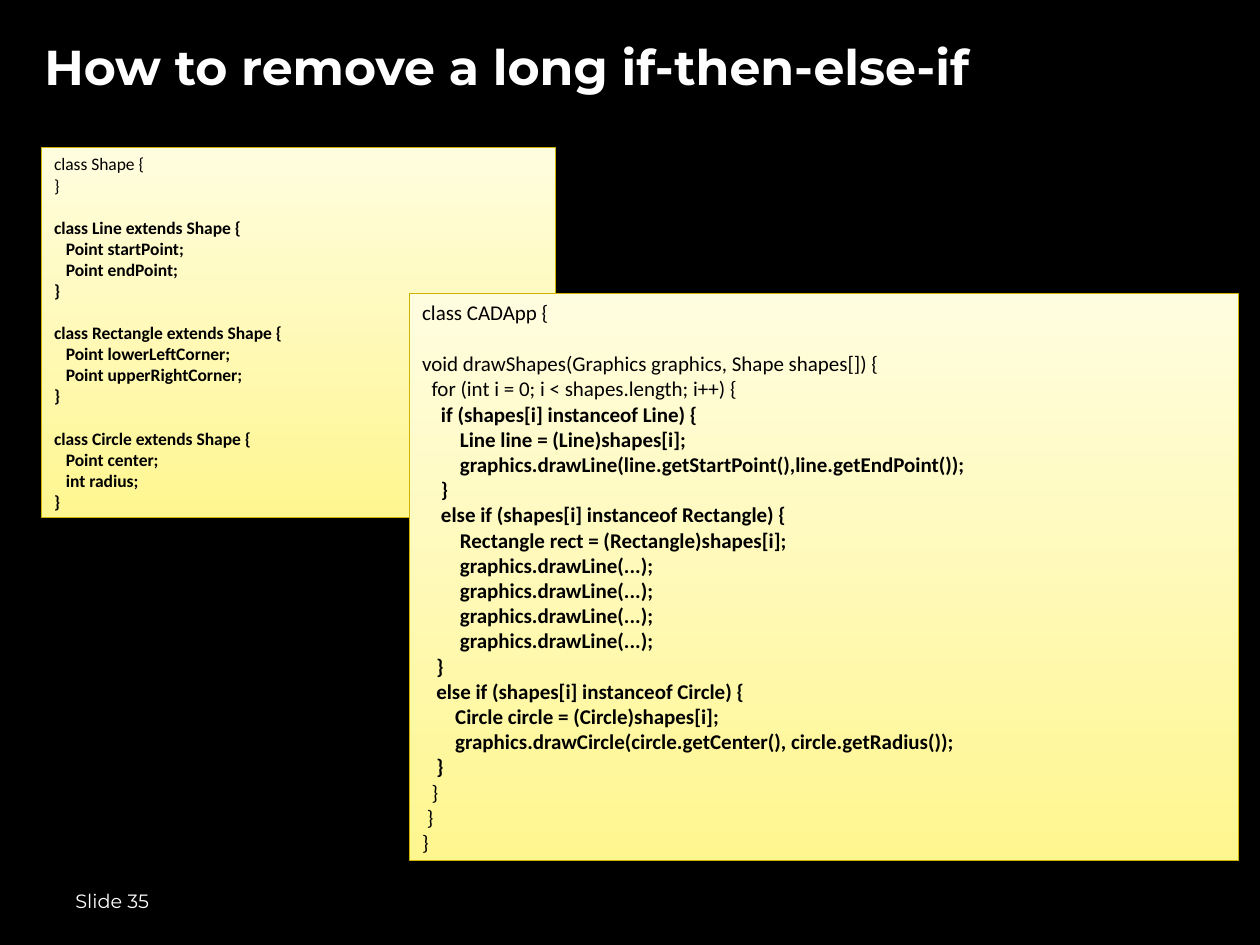
from dataclasses import dataclass

from pptx import Presentation, util as u
from pptx.dml.color import RGBColor as Rgb
from pptx.enum import shapes as shp, text as txt


@dataclass(frozen=True)
class Theme:
    back: Rgb = Rgb(0, 0, 0)
    light: Rgb = Rgb(255, 255, 255)
    ink: Rgb = Rgb(0, 0, 0)
    deep: Rgb = Rgb(0xFF, 0xF6, 0x90)
    pale: Rgb = Rgb(0xFF, 0xFD, 0xE0)
    edge: Rgb = Rgb(0xCC, 0xB4, 0x00)
    head: str = "Montserrat"
    code: str = "Calibri"
    title: int = 28
    foot: int = 11
    lead: float = 1.22  # height of a code line per point of type


@dataclass(frozen=True)
class Box:
    left: float
    top: float
    width: float
    height: float

    def cm(self) -> list:
        return [u.Cm(v) for v in (self.left, self.top, self.width, self.height)]


@dataclass(frozen=True)
class Block:
    code: str
    bold: bool = False


@dataclass(frozen=True)
class Card:
    box: Box
    size: int
    blocks: tuple


THEME = Theme()

MODEL = Card(Box(0.84, 2.97, 10.36, 7.47), 10, (
    Block("""class Shape {
}"""),
    Block("""
class Line extends Shape {
   Point startPoint;
   Point endPoint;
}

class Rectangle extends Shape {
   Point lowerLeftCorner;
   Point upperRightCorner;
}

class Circle extends Shape {
   Point center;
   int radius;
}""", True),
))

APP = Card(Box(8.26, 5.92, 16.71, 11.43), 12, (
    Block("""class CADApp {

void drawShapes(Graphics graphics, Shape shapes[]) {
  for (int i = 0; i < shapes.length; i++) {"""),
    Block("""    if (shapes[i] instanceof Line) {
        Line line = (Line)shapes[i];
        graphics.drawLine(line.getStartPoint(),line.getEndPoint());
    }
    else if (shapes[i] instanceof Rectangle) {
        Rectangle rect = (Rectangle)shapes[i];
        graphics.drawLine(...);
        graphics.drawLine(...);
        graphics.drawLine(...);
        graphics.drawLine(...);
   }
   else if (shapes[i] instanceof Circle) {
       Circle circle = (Circle)shapes[i];
       graphics.drawCircle(circle.getCenter(), circle.getRadius());
   }""", True),
    Block("""  }
 }
}"""),
))


def style(para, face: str, size: int, tint: Rgb, bold: bool = False) -> None:
    para.alignment = txt.PP_ALIGN.LEFT
    font = para.font
    font.name, font.size, font.bold = face, u.Pt(size), bold
    font.color.rgb = tint


def label(shape, words: str, size: int, bold: bool = False) -> None:
    """Write one line of light text, centred in height."""
    frame = shape.text_frame
    frame.text = words
    frame.word_wrap = True
    frame.auto_size = txt.MSO_AUTO_SIZE.NONE
    frame.vertical_anchor = txt.MSO_ANCHOR.MIDDLE
    style(frame.paragraphs[0], THEME.head, size, THEME.light, bold)


def draw_card(slide, card: Card) -> None:
    """Draw a yellow panel of code; an empty code line becomes a gap."""
    rect = slide.shapes.add_shape(shp.MSO_SHAPE.RECTANGLE, *card.box.cm())
    rect.shadow.inherit = False
    rect.fill.gradient()
    rect.fill.gradient_angle = 90
    for stop, tint in zip(rect.fill.gradient_stops, (THEME.deep, THEME.pale)):
        stop.color.rgb = tint
    rect.line.color.rgb = THEME.edge
    rect.line.width = u.Pt(0.75)

    frame = rect.text_frame
    frame.word_wrap = True
    frame.vertical_anchor = txt.MSO_ANCHOR.TOP
    para, gap = None, 0
    for block in card.blocks:
        for line in block.code.split("\n"):
            if not line:
                gap += card.size * THEME.lead
                continue
            para = frame.add_paragraph() if para else frame.paragraphs[0]
            para.text = line
            para.space_before = u.Pt(gap)
            style(para, THEME.code, card.size, THEME.ink, block.bold)
            gap = 0


def main() -> None:
    deck = Presentation()
    deck.slide_width, deck.slide_height = u.Cm(25.4), u.Cm(19.05)
    slide = deck.slides.add_slide(deck.slide_layouts[5])
    slide.background.fill.solid()
    slide.background.fill.fore_color.rgb = THEME.back

    # Title
    title = slide.shapes.title
    title.left, title.top, title.width, title.height = Box(0.64, 0.43, 22.86, 1.78).cm()
    label(title, "How to remove a long if-then-else-if", THEME.title, True)

    # Code panels, the application in front
    for card in (MODEL, APP):
        draw_card(slide, card)

    # Footer
    foot = slide.shapes.add_textbox(*Box(1.27, 17.65, 5.92, 1.02).cm())
    label(foot, "Slide 35", THEME.foot)

    deck.save("out.pptx")


if __name__ == "__main__":
    main()
